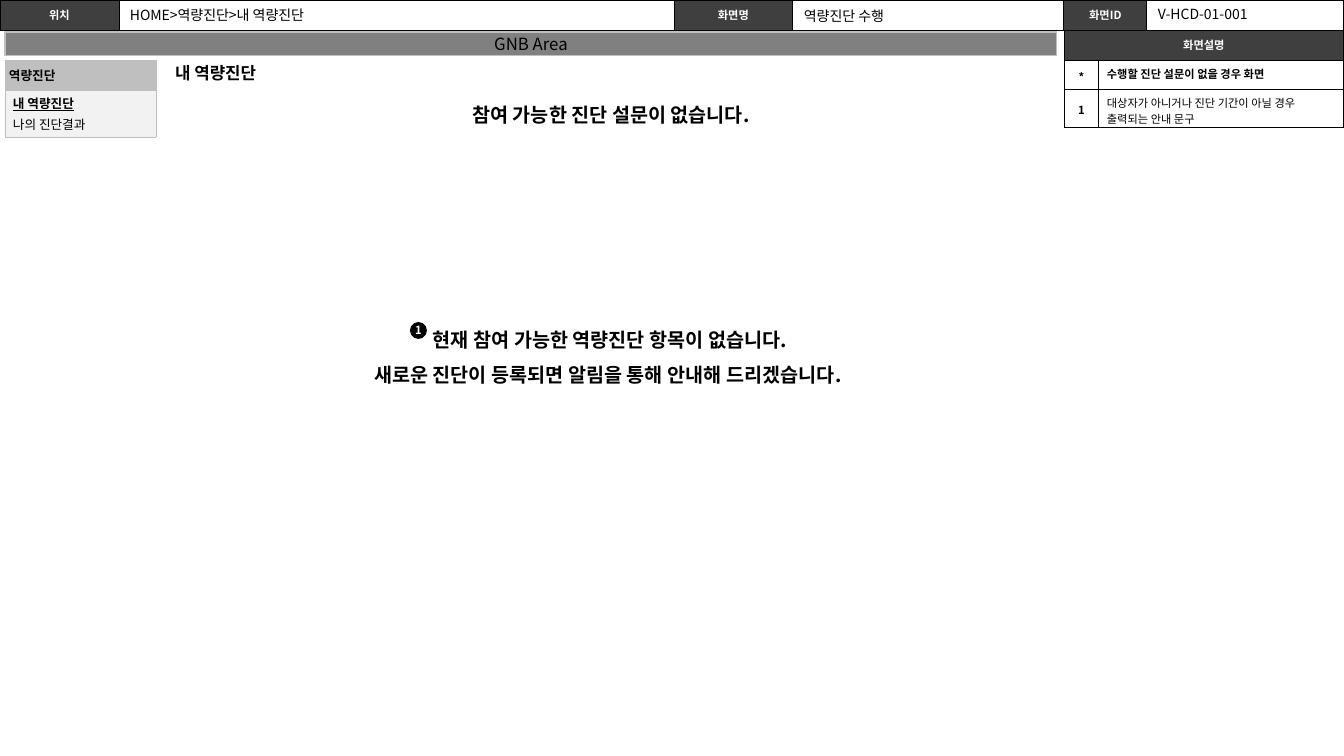
"""Builds the storyboard slide for the competency survey screen with no open survey."""
import lxml.etree
import pptx
import pptx.dml.color
import pptx.enum.shapes
import pptx.enum.text
import pptx.oxml.ns
import pptx.util

SCALE = 914400 / 100.8
THEME = {
    "font": "Noto Sans CJK KR",
    "black": "000000", "white": "FFFFFF", "dark": "3F3F3F",
    "bar": "808080", "silver": "BFBFBF", "pale": "F2F2F2",
    "label": 8, "menu": 9, "value": 10, "heading": 12, "message": 14,
}
ALIGN = pptx.enum.text.PP_ALIGN
ANCHOR = pptx.enum.text.MSO_ANCHOR
SHAPE = pptx.enum.shapes.MSO_SHAPE
qn = pptx.oxml.ns.qn
rgb = pptx.dml.color.RGBColor.from_string


def write(frame, lines, size, color="black", bold=False, align=ALIGN.LEFT,
          spacing=None, before=0, after=0):
    """Adds each line as a paragraph with one run."""
    frame.word_wrap = True
    for index, line in enumerate(lines):
        paragraph = frame.add_paragraph() if index else frame.paragraphs[0]
        paragraph.alignment = align
        paragraph.line_spacing = spacing
        if index:
            paragraph.space_before = pptx.util.Pt(before)
        if after:
            paragraph.space_after = pptx.util.Pt(after)
        run = paragraph.add_run()
        run.text = line
        run.font.size = pptx.util.Pt(THEME[size])
        run.font.bold = bold
        run.font.color.rgb = rgb(THEME[color])
        run.font.name = THEME["font"]
        east_asian = lxml.etree.SubElement(run.font._element, qn("a:ea"))
        east_asian.set("typeface", THEME["font"])


def add_grid(box, widths, heights, fills, border, weight, margins):
    """Adds a table with filled cells and an even border."""
    table = slide.shapes.add_table(len(heights), len(widths), *[px(n) for n in box]).table
    table.first_row = table.horz_banding = False
    for column, width in zip(table.columns, widths):
        column.width = px(width)
    for row, height in zip(table.rows, heights):
        row.height = px(height)
    for cell, fill in zip(table.iter_cells(), fills):
        cell.fill.solid()
        cell.fill.fore_color.rgb = rgb(THEME[fill])
        cell.vertical_anchor = ANCHOR.MIDDLE
        cell.margin_left, cell.margin_top, cell.margin_right, cell.margin_bottom = map(px, margins)
        properties = cell._tc.get_or_add_tcPr()
        for position, side in enumerate(("lnL", "lnR", "lnT", "lnB")):
            line = lxml.etree.Element(qn("a:" + side), w=str(int(weight * 12700)))
            paint = lxml.etree.SubElement(line, qn("a:solidFill"))
            lxml.etree.SubElement(paint, qn("a:srgbClr"), val=THEME[border])
            properties.insert(position, line)
    return table


px = lambda length: pptx.util.Emu(round(length * SCALE))

deck = pptx.Presentation()
deck.slide_width, deck.slide_height = px(1344), px(756)
slide = deck.slides.add_slide(deck.slide_layouts[5])

header = add_grid((0, 0, 1344, 30), (119, 555, 119, 271, 83, 197), (30,),
                  ("dark", "white") * 3, "black", 0.75, (10, 5, 10, 5))
for column, label in enumerate(("위치", "화면명", "화면ID")):
    write(header.cell(0, 2 * column).text_frame, [label], "label", "white", True, ALIGN.CENTER)
    blank = header.cell(0, 2 * column + 1).text_frame.paragraphs[0]
    lxml.etree.SubElement(blank._p, qn("a:endParaRPr"), sz=str(THEME["label"] * 100))

description = add_grid((1064, 30, 280, 93), (35, 245), (30, 26, 37),
                       ("dark",) * 2 + ("white",) * 4, "black", 0.75, (8, 5, 8, 5))
description.cell(0, 0).merge(description.cell(0, 1))
write(description.cell(0, 0).text_frame, ["화면설명"], "label", "white", True, ALIGN.CENTER)
for row, (mark, note, bold) in enumerate((
        ("*", "수행할 진단 설문이 없을 경우 화면", True),
        ("1", "대상자가 아니거나 진단 기간이 아닐 경우 출력되는 안내 문구", False)), 1):
    write(description.cell(row, 0).text_frame, [mark], "label", bold=True,
          align=ALIGN.CENTER, spacing=1.2)
    description.cell(row, 1).vertical_anchor = ANCHOR.TOP
    write(description.cell(row, 1).text_frame, [note], "label", bold=bold)
description.cell(2, 1).margin_bottom = 0

for box, value in (
        ((120, 2, 551, 27), "HOME>역량진단>내 역량진단"),
        ((794, 3, 269, 27), "역량진단 수행"),
        ((1148, 1, 196, 27), "V-HCD-01-001")):
    write(slide.shapes.add_textbox(*map(px, box)).text_frame, [value], "value")

gnb = slide.shapes.add_shape(SHAPE.RECTANGLE, px(5), px(32), px(1052), px(24))
gnb.shadow.inherit = False
gnb.fill.solid()
gnb.fill.fore_color.rgb = rgb(THEME["bar"])
gnb.line.color.rgb = rgb(THEME["silver"])
gnb.line.width = pptx.util.Pt(0.75)
gnb.text_frame.vertical_anchor = ANCHOR.MIDDLE
write(gnb.text_frame, ["GNB Area"], "heading", align=ALIGN.CENTER)

menu = add_grid((5, 60, 151, 77), (151,), (30, 47), ("silver", "pale"),
                "silver", 0.25, (4, 4, 4, 4))
write(menu.cell(0, 0).text_frame, ["역량진단"], "menu", bold=True)
menu.cell(1, 0).margin_left = px(8)
menu_items = menu.cell(1, 0).text_frame
write(menu_items, ["내 역량진단", "나의 진단결과"], "menu", before=1.8)
current_item = menu_items.paragraphs[0].runs[0].font
current_item.bold = current_item.underline = True

no_survey = slide.shapes.add_textbox(px(351), px(98), px(520), px(34)).text_frame
no_survey.vertical_anchor = ANCHOR.MIDDLE
write(no_survey, ["참여 가능한 진단 설문이 없습니다."], "message", bold=True,
      align=ALIGN.CENTER, after=4)

title = slide.shapes.title
title.left, title.top, title.width, title.height = map(px, (165, 58, 559, 30))
title.text_frame.auto_size = pptx.enum.text.MSO_AUTO_SIZE.NONE
title.text_frame.vertical_anchor = ANCHOR.TOP
write(title.text_frame, ["내 역량진단"], "heading", bold=True)

guidance = slide.shapes.add_textbox(px(301), px(311), px(618), px(77)).text_frame
write(guidance, ["현재 참여 가능한 역량진단 항목이 없습니다.",
                 "새로운 진단이 등록되면 알림을 통해 안내해 드리겠습니다. "],
      "message", bold=True, align=ALIGN.CENTER, spacing=1.5)

marker = slide.shapes.add_shape(SHAPE.OVAL, px(410), px(322), px(17), px(17))
marker.shadow.inherit = False
marker.fill.solid()
marker.fill.fore_color.rgb = rgb(THEME["black"])
marker.line.fill.background()
marker_text = marker.text_frame
marker_text.margin_left = marker_text.margin_right = 0
marker_text.vertical_anchor = ANCHOR.MIDDLE
write(marker_text, ["1"], "label", "white", True, ALIGN.CENTER)
marker_text.word_wrap = False
marker_text.paragraphs[0].runs[0].font._element.set("spc", "-80")

deck.save("out.pptx")
